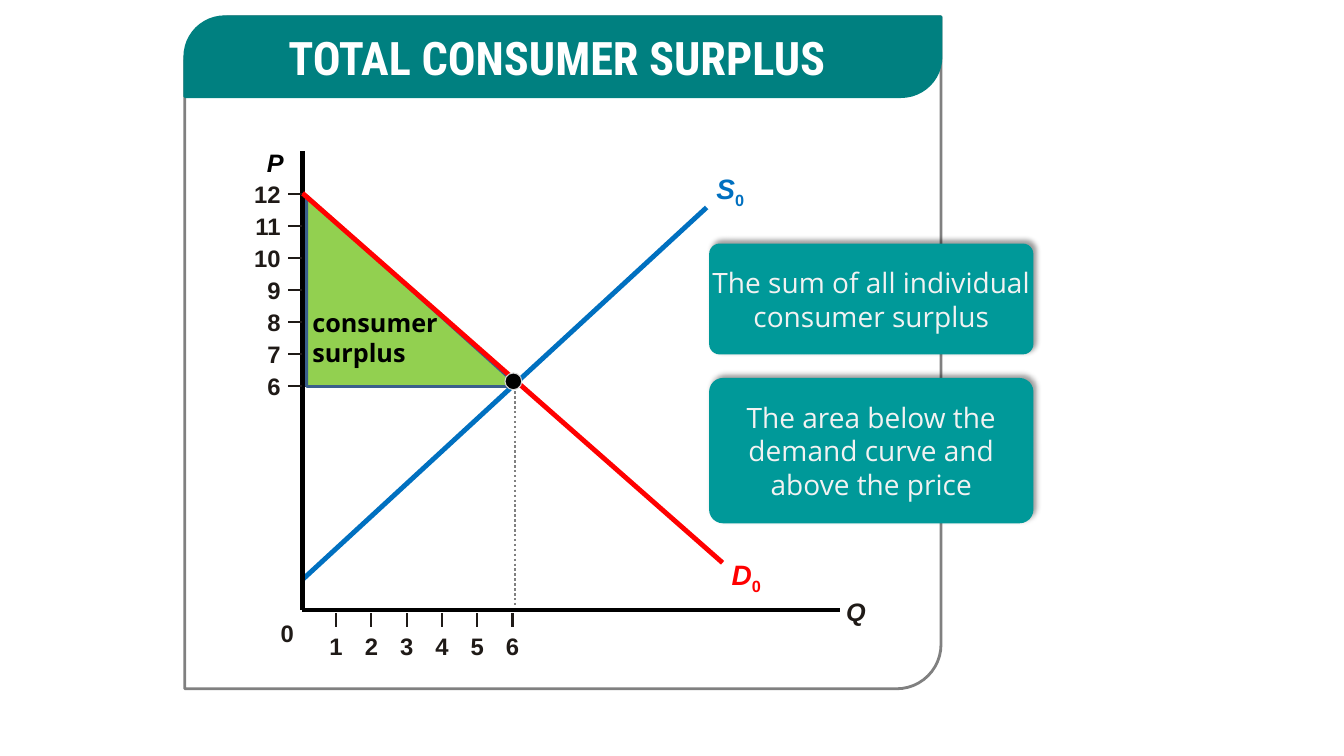
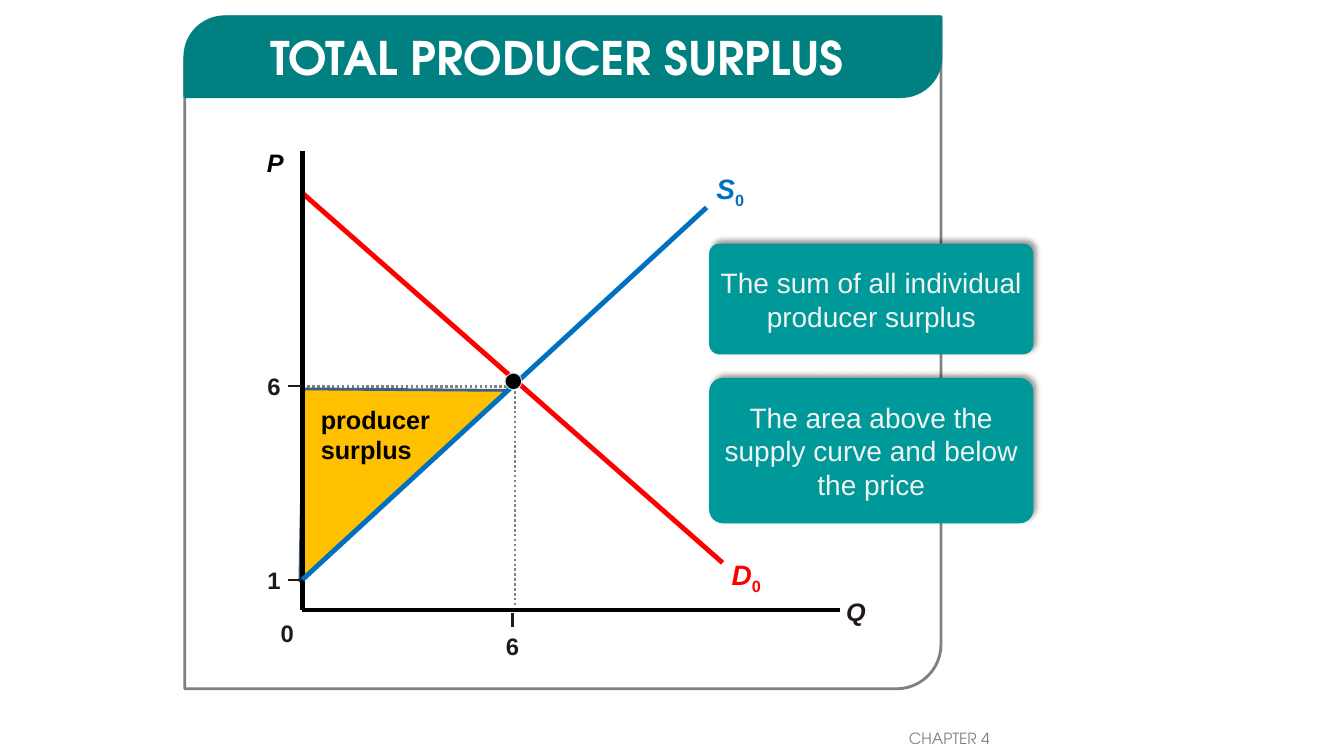
from pptx import Presentation
from pptx.dml.color import RGBColor
from pptx.enum.dml import MSO_LINE
from pptx.enum.shapes import MSO_CONNECTOR, MSO_SHAPE
from pptx.enum.text import MSO_ANCHOR, PP_ALIGN
from pptx.oxml import parse_xml
from pptx.oxml.ns import nsdecls, qn
from pptx.util import Emu, Inches, Pt

ROUND_DIAG = MSO_SHAPE.ROUND_2_DIAG_RECTANGLE
ROUND_RECT = MSO_SHAPE.ROUNDED_RECTANGLE
TRIANGLE = MSO_SHAPE.ISOSCELES_TRIANGLE
OVAL = MSO_SHAPE.OVAL
DASH, DOTS = MSO_LINE.DASH, MSO_LINE.ROUND_DOT
LEFT, CENTER, RIGHT = PP_ALIGN.LEFT, PP_ALIGN.CENTER, PP_ALIGN.RIGHT


class Theme:
    band, card, on_band, on_card = "008080", "009999", "FFFFFF", "F2F2F2"
    gray, black, ink = "808080", "000000", "1F1A17"
    supply, demand = "0070C0", "FF0000"
    consumer, producer = "92D050", "FFC000"
    area_line, dot_line = "3A5F8C", "D9D9D9"
    title, card_text, label, tick, footer = 33, 20, 18, 17, 11
    font, display = "Arial", "TeX Gyre Adventor"


# The slide is a grid of 80 columns by 45 rows of square cells.
COLS, ROWS = 80, 45
prs = Presentation()
prs.slide_width, prs.slide_height = Inches(13.33), Inches(7.5)
CELL = prs.slide_height / ROWS

# Chart geometry, in cells
X0, Y0, X_END, Y_TOP = 18, 36.3, 50, 9
EQ_X, EQ_Y = 30.65, 23
PRICE_STEP, QTY_STEP = 1.91, 2.1
SUPPLY = (X0, 34.5, 42.05, 12.35, Theme.supply, 3.5, None)
DEMAND = (X0, 11.5, 43, 33.5, Theme.demand, 3.5, None)
CARDS = [(42.2, 14.5, 19.3, 6.6), (42.2, 22.5, 19.3, 8.65)]


def place(s, at, kind=None, fill=None, line=None, width=1, adj=()):
    """Add a preset shape, or a text box when kind is None, at grid cells."""
    at = [Emu(round(CELL * v)) for v in at]
    if kind is None:
        return s.shapes.add_textbox(*at)
    sp = s.shapes.add_shape(kind, *at)
    sp.shadow.inherit = False
    for i, value in enumerate(adj):
        sp.adjustments[i] = value
    if fill:
        sp.fill.solid()
        sp.fill.fore_color.rgb = RGBColor.from_string(fill)
    else:
        sp.fill.background()
    if line:
        sp.line.color.rgb = RGBColor.from_string(line)
        sp.line.width = Pt(width)
    else:
        sp.line.fill.background()
    return sp


def write(sp, text, size, color, font=Theme.font, bold=True, italic=False,
          align=LEFT, wrap=True, inset=True, sub=""):
    tf = sp.text_frame
    tf.word_wrap = wrap
    if not inset:
        tf.margin_left = tf.margin_right = tf.margin_top = tf.margin_bottom = 0
    p = tf.paragraphs[0]
    p.alignment = align
    for part in filter(None, (text, sub)):
        r = p.add_run()
        r.text = part
        r.font.size, r.font.name = Pt(size), font
        r.font.bold, r.font.italic = bold, italic and part == text
        r.font.color.rgb = RGBColor.from_string(color)
        if part == sub:
            r._r.get_or_add_rPr().set("baseline", "-25000")


slides = [
    dict(title="TOTAL CONSUMER SURPLUS", title_font="Roboto Condensed",
         body_font="Open Sans", guide=(Theme.black, 0.75, DASH),
         back=SUPPLY, front=DEMAND,
         area=(18.25, 11.65, 12.6, 11.35), apex=0, turn=0,
         fill=Theme.consumer,
         name="consumer surplus", name_at=(18, 18, 9, 4.3),
         prices={n: EQ_Y - (n - 6) * PRICE_STEP for n in range(6, 13)},
         quantities=range(1, 7), footer=None,
         cards=["The sum of all individual consumer surplus",
                "The area below the demand curve and above the price"]),
    dict(title="TOTAL PRODUCER SURPLUS", title_font=Theme.display,
         body_font=Theme.font, guide=(Theme.gray, 1.75, DOTS),
         back=DEMAND, front=SUPPLY,
         area=(12.84, 21.72, 16.8, 8.28), apex=0.47, turn=317.5,
         fill=Theme.producer,
         name="producer surplus", name_at=(18.5, 23.75, 8, 4.3),
         prices={6: EQ_Y, 1: SUPPLY[1]},
         quantities=[6], footer="CHAPTER 4",
         cards=["The sum of all individual producer surplus",
                "The area above the supply curve and below the price"]),
]

for d in slides:
    s = prs.slides.add_slide(prs.slide_layouts[5])

    # Panel, title band and title
    place(s, (11, 1, 45, 40), ROUND_DIAG, None, Theme.gray, 2, (0.066, 0))
    place(s, (11, 1, 45, 4.75), ROUND_DIAG, Theme.band, Theme.band, 2, (0.5, 0))
    title = s.shapes.title
    title.left, title.top, title.width, title.height = [
        Emu(round(CELL * v)) for v in (10.9, 1.4, 44.5, 4)]
    title.text_frame.vertical_anchor = MSO_ANCHOR.MIDDLE
    write(title, d["title"], Theme.title, Theme.on_band, d["title_font"],
          align=CENTER)
    s.shapes.element.append(title.element)  # in front of the band

    # Curves, axes and ticks, with the surplus area between two layers
    back = [(X0, EQ_Y, EQ_X, EQ_Y, *d["guide"]),
            (EQ_X, EQ_Y, EQ_X, Y0, Theme.gray, 1.75, DOTS),
            d["back"]]
    front = [(X0, Y0, X0, Y_TOP, Theme.black, 3, None),
             (X0, Y0, X_END, Y0, Theme.black, 3, None),
             d["front"]]
    for n, y in d["prices"].items():
        front.append((X0 - 0.85, y, X0, y, Theme.ink, 1.5, None))
        write(place(s, (14.1, y - 0.85, 2.6, 1.75)), str(n), Theme.tick,
              Theme.ink, align=RIGHT, inset=False)
    for n in d["quantities"]:
        x = X0 + 2 + (n - 1) * QTY_STEP
        front.append((x, Y0 + 0.2, x, Y0 + 1, Theme.ink, 1.5, None))
        write(place(s, (x - 1, 37.6, 2, 1.75)), str(n), Theme.tick,
              Theme.ink, align=CENTER, inset=False)

    area = (d["area"], TRIANGLE, d["fill"], Theme.area_line, 2, (d["apex"],))
    dot = ((EQ_X - 0.6, EQ_Y - 0.8, 1, 1), OVAL, Theme.black,
           Theme.dot_line, 0.75)
    for lines, shape, turn in ((back, area, d["turn"]), (front, dot, 0)):
        for *ends, color, width, dash in lines:
            c = s.shapes.add_connector(
                MSO_CONNECTOR.STRAIGHT, *[Emu(round(CELL * v)) for v in ends])
            c.line.color.rgb = RGBColor.from_string(color)
            c.line.width = Pt(width)
            if dash:
                c.line.dash_style = dash
            c.element.spPr.append(parse_xml(f"<a:effectLst {nsdecls('a')}/>"))
        place(s, *shape).rotation = turn

    # Names of axes, curves and area
    write(place(s, (16.7, 36.8, 0.8, 1.75)), "0", Theme.tick, Theme.ink,
          wrap=False, inset=False)
    write(place(s, (50.35, 35.5, 1.2, 1.8)), "Q", Theme.label, Theme.ink,
          italic=True, wrap=False, inset=False)
    write(place(s, (15.3, 8.5, 3.5, 2.4)), "P", Theme.label, Theme.black,
          italic=True)
    for letter, x, y, color in (("S", 42.05, 9.9, Theme.supply),
                                ("D", 42.95, 32.9, Theme.demand)):
        write(place(s, (x, y, 3, 2.65)), letter, Theme.card_text, color,
              italic=True, wrap=False, sub="0")
    write(place(s, d["name_at"]), d["name"], Theme.label, Theme.black,
          d["body_font"])

    # Definition cards
    for at, text in zip(CARDS, d["cards"]):
        card = place(s, at, ROUND_RECT, Theme.card, adj=(0.095,))
        card.element.spPr.find(qn("a:effectLst")).append(parse_xml(
            f'<a:outerShdw {nsdecls("a")} blurRad="{Pt(4)}" dist="{Pt(3)}" '
            f'dir="{315 * 60000}" algn="bl" rotWithShape="0">'
            f'<a:srgbClr val="{Theme.black}"><a:alpha val="40000"/></a:srgbClr>'
            '</a:outerShdw>'))
        card.text_frame.vertical_anchor = MSO_ANCHOR.MIDDLE
        write(card, text, Theme.card_text, Theme.on_card, d["body_font"],
              bold=False, align=CENTER, inset=False)

    if d["footer"]:
        write(place(s, (53.5, 43.1, 6.3, 1.75)), d["footer"], Theme.footer,
              Theme.gray, Theme.display, bold=False, wrap=False)

prs.save("out.pptx")
